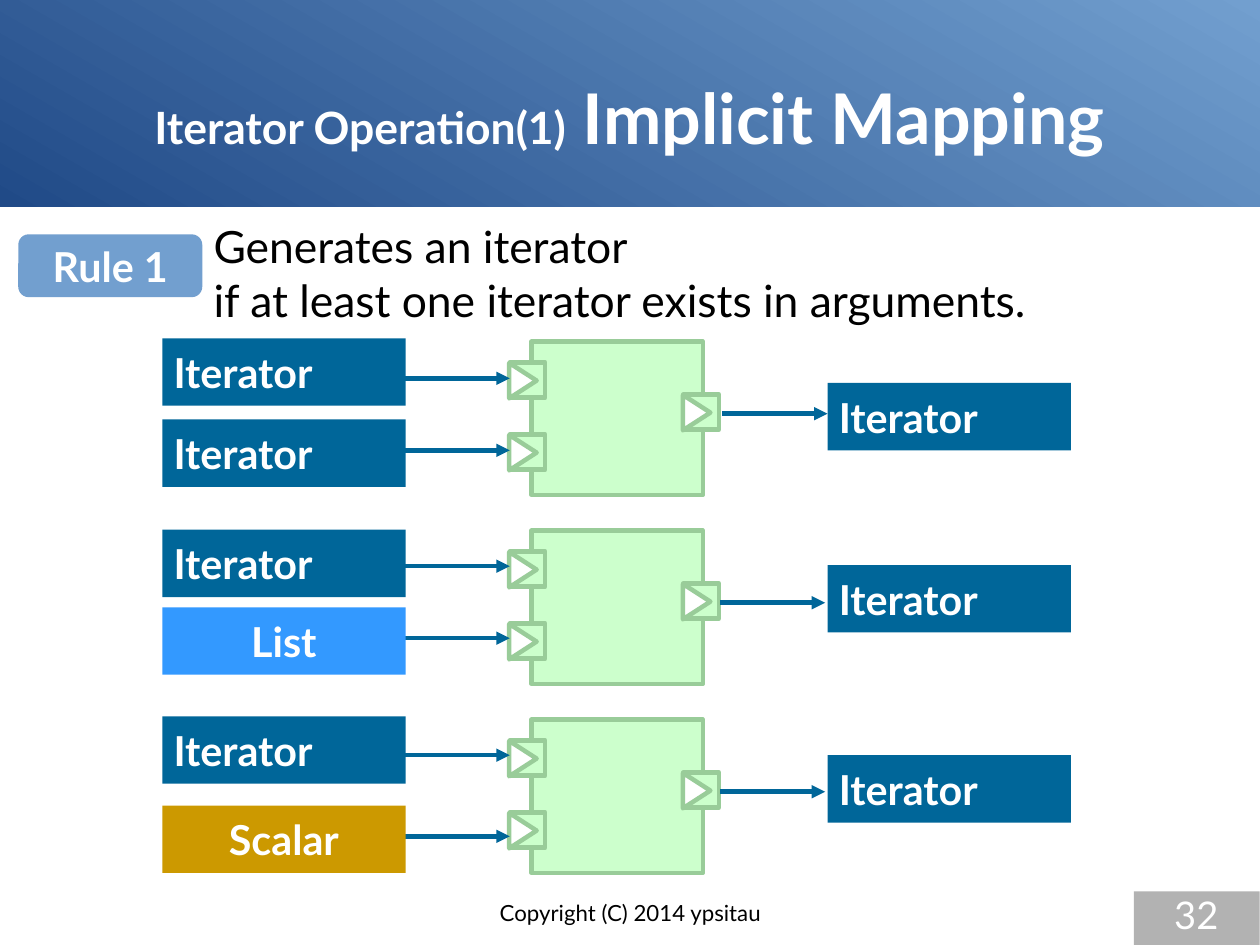
"""Build the implicit mapping slide: three function blocks fed by typed arguments."""
import pptx
import pptx.util
import pptx.dml.color
import pptx.enum.shapes
import pptx.enum.text
import pptx.oxml

FONT = "Lato"
COLORS = {
    "navy": "204A87", "sky": "729FCF", "white": "FFFFFF", "black": "000000",
    "mint": "CCFFCC", "green": "99CC99", "gray": "B2B2B2",
    "Iterator": "006699", "List": "3399FF", "Scalar": "CC9900",
}
TITLE = [("Iterator Operation(1)", 28), (" Implicit Mapping", 44)]
RULE = "Rule 1"
INTRO = "Generates an iterator\nif at least one iterator exists in arguments."
COPYRIGHT = "Copyright (C) 2014 ypsitau"
PAGE = "32"

ROWS = [
    {"args": [("Iterator", -0.03, 0.32), ("Iterator", 0.68, 0.95)],
     "result": ("Iterator", 0.36, 0.63), "out": (6.32, 7.24)},
    {"args": [("Iterator", -0.01, 0.31), ("List", 0.67, 0.94)],
     "result": ("Iterator", 0.3, 0.63), "out": (6.3, 7.22)},
    {"args": [("Iterator", -0.03, 0.31), ("Scalar", 0.75, 1.02)],
     "result": ("Iterator", 0.31, 0.63), "out": (6.3, 7.22)},
]
SLIDE_W, SLIDE_H = pptx.util.Cm(28), pptx.util.Cm(21)
ROW_TOP, ROW_PITCH = 2.99, pptx.util.Cm(4.2).inches
ARG_X, BLOCK_X, RESULT_X = 1.42, 4.65, 7.24
LABEL_W, LABEL_H = 2.13, 0.59
BLOCK_W, BLOCK_H = 1.5, 1.34
PORT, TRI_H, TRI_SHIFT = 0.31, 0.24, 0.04
PORTS = [(-0.19, 0.18), (-0.19, 0.81), (1.33, 0.46)]
IN_WIRE = (3.54, 4.46)
LINE_PT = 2.83

SHAPE = pptx.enum.shapes.MSO_SHAPE
ALIGN = pptx.enum.text.PP_ALIGN
ANCHOR = pptx.enum.text.MSO_ANCHOR
Inches = pptx.util.Inches
Pt = pptx.util.Pt


def rgb(name):
    return pptx.dml.color.RGBColor.from_string(COLORS[name])


def place(x, y, w, h):
    return [Inches(v) for v in (x, y, w, h)]


def add_box(shapes, kind, box, fill, line=None):
    sp = shapes.add_shape(kind, *place(*box))
    sp.shadow.inherit = False
    sp.fill.solid()
    sp.fill.fore_color.rgb = rgb(fill)
    if line:
        sp.line.color.rgb = rgb(line)
        sp.line.width = Pt(LINE_PT)
    else:
        sp.line.fill.background()
    return sp


def style_run(r, size, color, bold):
    r.font.name = FONT
    r.font.size = Pt(size)
    r.font.bold = bold
    r.font.color.rgb = rgb(color)


def set_insets(tf, left, top, right, bottom):
    tf.margin_left, tf.margin_top, tf.margin_right, tf.margin_bottom = place(left, top, right, bottom)


def write(sp, text, size, color, align=ALIGN.LEFT, bold=False, anchor=ANCHOR.TOP, insets=(0.1, 0.05, 0.1, 0.05)):
    tf = sp.text_frame
    tf.text = text
    tf.word_wrap = True
    tf.vertical_anchor = anchor
    set_insets(tf, *insets)
    for p in tf.paragraphs:
        p.alignment = align
        for r in p.runs:
            style_run(r, size, color, bold)


def add_label(shapes, name, x, y):
    sp = add_box(shapes, SHAPE.RECTANGLE, (x, y, LABEL_W, LABEL_H), name)
    align = ALIGN.LEFT if name == "Iterator" else ALIGN.CENTER
    write(sp, name, 26, "white", align, True, ANCHOR.MIDDLE)


def add_arrow(shapes, x1, x2, y):
    cx = shapes.add_connector(pptx.enum.shapes.MSO_CONNECTOR.STRAIGHT, *place(x1, y, x2, y))
    cx.line.color.rgb = rgb("Iterator")
    cx.line.width = Pt(LINE_PT)
    ns = pptx.oxml.ns.nsdecls("a")
    cx.line._get_or_add_ln().append(pptx.oxml.parse_xml(f'<a:tailEnd {ns} type="triangle"/>'))
    cx._element.spPr.append(pptx.oxml.parse_xml(f"<a:effectLst {ns}/>"))


def add_block(shapes, top):
    parts = shapes.add_group_shape().shapes
    add_box(parts, SHAPE.RECTANGLE, (BLOCK_X, top, BLOCK_W, BLOCK_H), "mint", "green")
    for dx, dy in PORTS:
        x, y = BLOCK_X + dx, top + dy
        add_box(parts, SHAPE.RECTANGLE, (x, y, PORT, PORT), "mint", "green")
        tri = add_box(parts, SHAPE.ISOSCELES_TRIANGLE,
                      (x - TRI_SHIFT, y + TRI_SHIFT, PORT, TRI_H), "white", "green")
        tri.rotation = 90


def add_header(slide):
    band = add_box(slide.shapes, SHAPE.RECTANGLE, (0, 0, SLIDE_W.inches, 1.81), "navy")
    band.fill.gradient()
    band.fill.gradient_angle = 60
    for stop, name in zip(band.fill.gradient_stops, ("navy", "sky")):
        stop.color.rgb = rgb(name)
    title = slide.shapes.title
    band._element.addnext(title._element)
    title.left, title.top, title.width, title.height = place(0.55, 0.33, 9.92, 1.38)
    tf = title.text_frame
    tf.vertical_anchor = ANCHOR.MIDDLE
    set_insets(tf, 0, 0, 0, 0)
    p = tf.paragraphs[0]
    p.alignment = ALIGN.CENTER
    for text, size in TITLE:
        r = p.add_run()
        r.text = text
        style_run(r, size, "white", True)


def main():
    prs = pptx.Presentation()
    prs.slide_width, prs.slide_height = SLIDE_W, SLIDE_H
    slide = prs.slides.add_slide(prs.slide_layouts[5])
    shapes = slide.shapes
    add_header(slide)

    tops = [ROW_TOP + i * ROW_PITCH for i in range(len(ROWS))]
    for top in tops:
        add_block(shapes, top)

    write(shapes.add_textbox(*place(1.77, 1.87, 7.89, 1.16)), INTRO, 28, "black")
    rule = add_box(shapes, SHAPE.ROUNDED_RECTANGLE, (0.16, 2.05, 1.61, 0.55), "sky")
    write(rule, RULE, 26, "white", ALIGN.CENTER, True, ANCHOR.MIDDLE)

    for top, row in zip(tops, ROWS):
        for name, label_dy, wire_dy in row["args"]:
            add_arrow(shapes, *IN_WIRE, top + wire_dy)
            add_label(shapes, name, ARG_X, top + label_dy)
        name, label_dy, wire_dy = row["result"]
        add_arrow(shapes, *row["out"], top + wire_dy)
        add_label(shapes, name, RESULT_X, top + label_dy)

    write(shapes.add_textbox(*place(3.77, 7.87, 3.49, 0.41)), COPYRIGHT, 14, "black",
          ALIGN.CENTER, insets=(0, 0, 0, 0))
    page = add_box(shapes, SHAPE.RECTANGLE, (9.92, 7.8, 1.1, 0.47), "gray")
    write(page, PAGE, 24, "white", ALIGN.RIGHT, insets=(0, 0, 0.36, 0))
    prs.save("out.pptx")


if __name__ == "__main__":
    main()
